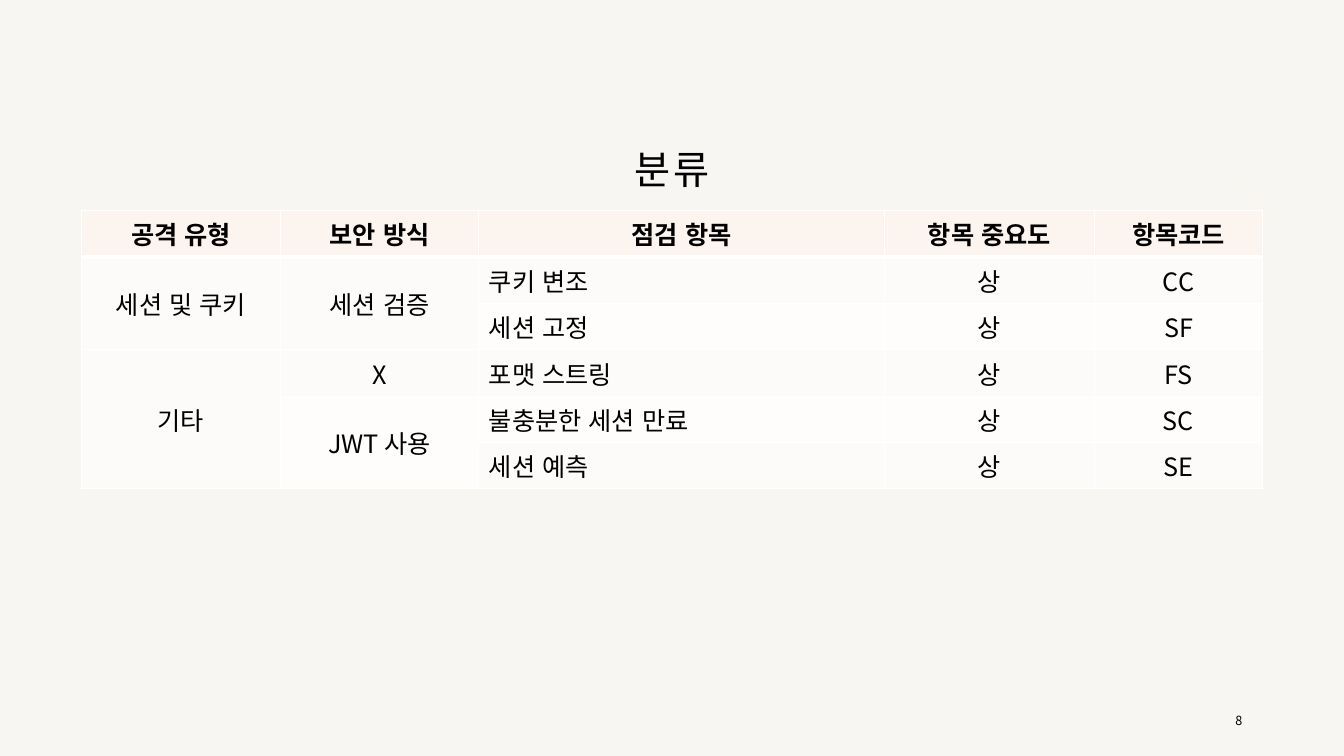
from dataclasses import dataclass

from lxml.etree import SubElement
from pptx import Presentation
from pptx.dml.color import RGBColor
from pptx.enum.lang import MSO_LANGUAGE_ID
from pptx.enum.shapes import MSO_CONNECTOR
from pptx.enum.text import MSO_ANCHOR, PP_ALIGN
from pptx.oxml import parse_xml
from pptx.oxml.ns import nsdecls, qn
from pptx.util import Inches, Pt


@dataclass(frozen=True)
class Theme:
    font: str = "Noto Sans CJK KR"
    background: str = "F7F6F3"
    text: str = "000000"
    accent: str = "FBF4EF"
    odd_row: str = "FDFBF9"
    even_row: str = "FEFDFC"
    border: str = "FFFFFF"
    title_size: int = 28
    table_size: int = 18
    number_size: int = 9


THEME = Theme()

COLUMN_WIDTHS = [1.97, 1.97, 4.02, 2.09, 1.66]
ROW_HEIGHT = 0.46
ITEM_COLUMN = 2
ROWS = [
    ["공격 유형", "보안 방식", "점검 항목", "항목 중요도", "항목코드"],
    ["세션 및 쿠키", "세션 검증", "쿠키 변조", "상", "CC"],
    ["", "", "세션 고정", "상", "SF"],
    ["기타", "X", "포맷 스트링", "상", "FS"],
    ["", "JWT 사용", "불충분한 세션 만료", "상", "SC"],
    ["", "", "세션 예측", "상", "SE"],
]
MERGES = [(1, 2, 0), (1, 2, 1), (3, 5, 0), (4, 5, 1)]


def add_run(paragraph, text, size, bold=False, spacing=None):
    run = paragraph.add_run()
    run.text = text
    font = run.font
    font.size = Pt(size)
    font.bold = bold
    font.name = THEME.font
    font.language_id = MSO_LANGUAGE_ID.KOREAN
    font.color.rgb = RGBColor.from_string(THEME.text)
    properties = run._r.get_or_add_rPr()
    SubElement(properties, qn("a:ea")).set("typeface", THEME.font)
    if spacing is not None:
        properties.set("spc", str(int(spacing * 100)))


def add_text(slide, box, text, size, alignment, line_spacing=1.0, spacing=None):
    shape = slide.shapes.add_textbox(*map(Inches, box))
    frame = shape.text_frame
    frame.word_wrap = True
    frame.vertical_anchor = MSO_ANCHOR.MIDDLE
    paragraph = frame.paragraphs[0]
    paragraph.alignment = alignment
    paragraph.line_spacing = line_spacing
    add_run(paragraph, text, size, spacing=spacing)


def add_corner_lines(slide, box):
    left, top, width, height = box
    right = left + width
    for start, drop in ((left, 2.57), (left + 1.13, height)):
        connector = slide.shapes.add_connector(
            MSO_CONNECTOR.STRAIGHT,
            Inches(start), Inches(top), Inches(right), Inches(top + drop))
        connector.line.color.rgb = RGBColor.from_string(THEME.accent)
        connector.line.width = Pt(0.5)
        SubElement(connector._element.spPr, qn("a:effectLst"))


def set_borders(cell, row):
    properties = cell._tc.get_or_add_tcPr()
    thick_side = {0: "lnB", 1: "lnT"}.get(row)
    for index, side in enumerate(("lnL", "lnR", "lnT", "lnB")):
        width = Pt(3 if side == thick_side else 1)
        properties.insert(index, parse_xml(
            f'<a:{side} {nsdecls("a")} w="{width}"><a:solidFill>'
            f'<a:srgbClr val="{THEME.border}"/></a:solidFill></a:{side}>'))


def row_fill(row, column):
    if row == 0:
        return THEME.accent
    for first, last, merged_column in MERGES:
        if column == merged_column and first <= row <= last:
            row = first
    return THEME.odd_row if row % 2 else THEME.even_row


def add_classification_table(slide, box):
    table = slide.shapes.add_table(
        len(ROWS), len(COLUMN_WIDTHS), *map(Inches, box)).table
    for column, width in zip(table.columns, COLUMN_WIDTHS):
        column.width = Inches(width)
    for row in table.rows:
        row.height = Inches(ROW_HEIGHT)
    for row, texts in enumerate(ROWS):
        for column, text in enumerate(texts):
            cell = table.cell(row, column)
            cell.fill.solid()
            cell.fill.fore_color.rgb = RGBColor.from_string(row_fill(row, column))
            set_borders(cell, row)
            if row and column < ITEM_COLUMN:
                cell.vertical_anchor = MSO_ANCHOR.MIDDLE
            paragraph = cell.text_frame.paragraphs[0]
            left_aligned = row and column == ITEM_COLUMN
            paragraph.alignment = PP_ALIGN.LEFT if left_aligned else PP_ALIGN.CENTER
            if text:
                add_run(paragraph, text, THEME.table_size, bold=row == 0)
    for first, last, column in MERGES:
        table.cell(first, column).merge(table.cell(last, column))


def build_classification_slide(presentation):
    slide = presentation.slides.add_slide(presentation.slide_layouts[6])
    fill = slide.background.fill
    fill.solid()
    fill.fore_color.rgb = RGBColor.from_string(THEME.background)
    add_corner_lines(slide, (9.5, 0, 3.83, 2.95))
    add_text(slide, (2.06, 0.98, 9.21, 1.45), "분류", THEME.title_size,
             PP_ALIGN.CENTER, line_spacing=0.9, spacing=1.5)
    add_text(slide, (9.42, 6.95, 3, 0.4), "8", THEME.number_size, PP_ALIGN.RIGHT)
    add_classification_table(slide, (0.81, 2.09, 11.71, ROW_HEIGHT * len(ROWS)))


def main():
    presentation = Presentation()
    presentation.slide_width = Inches(13.33)
    presentation.slide_height = Inches(7.5)
    build_classification_slide(presentation)
    presentation.save("out.pptx")


if __name__ == "__main__":
    main()
